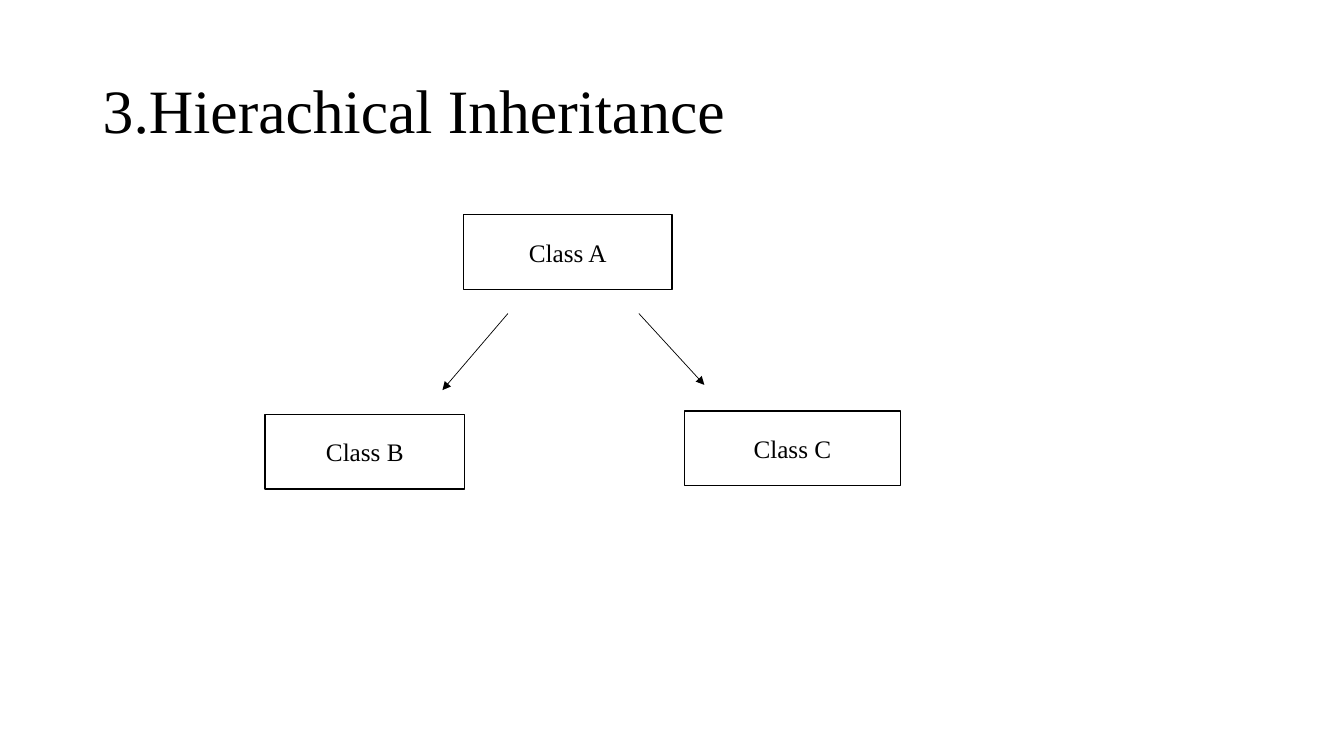
"""Build a slide showing hierarchical inheritance between three classes."""
from dataclasses import dataclass

from lxml.etree import SubElement
from pptx import Presentation
from pptx.dml.color import RGBColor
from pptx.enum.shapes import MSO_CONNECTOR as Connector, MSO_SHAPE as Shape
from pptx.enum.text import MSO_ANCHOR as Anchor, PP_ALIGN as Align
from pptx.oxml.ns import qn
from pptx.slide import Slide
from pptx.text.text import TextFrame
from pptx.util import Cm, Pt

BLACK = RGBColor(0x00, 0x00, 0x00)
WHITE = RGBColor(0xFF, 0xFF, 0xFF)
FONT = "Times New Roman"
BOX_HEIGHT = 1.88
ARROW_TOP = 7.9


@dataclass(frozen=True)
class ClassBox:
    label: str
    left: float
    top: float
    width: float


@dataclass(frozen=True)
class Arrow:
    start_x: float
    end_x: float
    end_y: float


CLASS_BOXES = (
    ClassBox("Class A", 11.68, 5.41, 5.26),
    ClassBox("Class B", 6.68, 10.44, 5.03),
    ClassBox("Class C", 17.25, 10.36, 5.44),
)
ARROWS = (Arrow(12.8, 11.15, 9.83), Arrow(16.1, 17.75, 9.7))


def write_text(frame: TextFrame, text: str, size: int, para_format: dict) -> None:
    frame.word_wrap = True
    frame.vertical_anchor = Anchor.MIDDLE
    para = frame.paragraphs[0]
    for name, value in para_format.items():
        setattr(para, name, value)
    span = para.add_run()
    span.text = text
    for name, value in {"name": FONT, "size": Pt(size)}.items():
        setattr(span.font, name, value)
    span.font.color.rgb = BLACK


def draw_title(page: Slide, text: str) -> None:
    title = page.shapes.add_textbox(Cm(2.34), Cm(1.02), Cm(29.21), Cm(3.68))
    write_text(title.text_frame, text, 44, {"line_spacing": 0.9})


def draw_class_box(page: Slide, item: ClassBox) -> None:
    box = page.shapes.add_shape(
        Shape.RECTANGLE, Cm(item.left), Cm(item.top), Cm(item.width), Cm(BOX_HEIGHT)
    )
    box.shadow.inherit = False
    box.fill.solid()
    box.fill.fore_color.rgb = WHITE
    box.line.color.rgb = BLACK
    box.line.width = Pt(1)
    write_text(box.text_frame, item.label, 18, {"alignment": Align.CENTER})


def draw_arrow(page: Slide, item: Arrow) -> None:
    arrow = page.shapes.add_connector(
        Connector.STRAIGHT,
        Cm(item.start_x), Cm(ARROW_TOP), Cm(item.end_x), Cm(item.end_y),
    )
    arrow.line.color.rgb = BLACK
    arrow.line.width = Pt(0.5)
    SubElement(arrow.line._get_or_add_ln(), qn("a:tailEnd"), type="triangle")
    SubElement(arrow._element.spPr, qn("a:effectLst"))


def main() -> None:
    deck = Presentation()
    deck.slide_width, deck.slide_height = Cm(33.87), Cm(19.05)
    page = deck.slides.add_slide(deck.slide_layouts[6])
    draw_title(page, "3.Hierachical Inheritance")
    for class_box in CLASS_BOXES:
        draw_class_box(page, class_box)
    for arrow in ARROWS:
        draw_arrow(page, arrow)
    deck.save("out.pptx")


if __name__ == "__main__":
    main()
